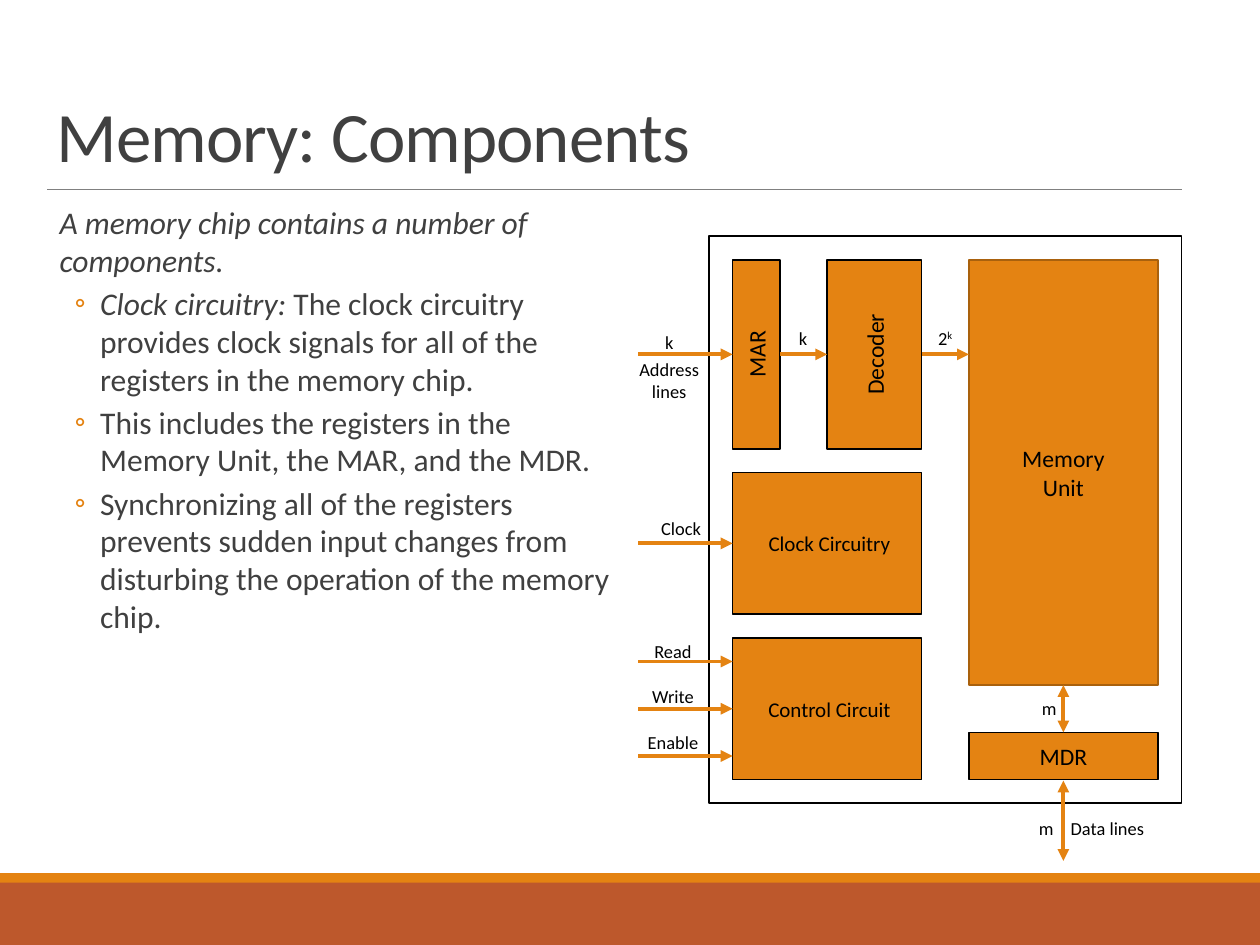
import pptx
import pptx.dml.color
import pptx.enum.shapes
import pptx.enum.text
import pptx.oxml.ns
import pptx.util
from lxml import etree

Inches = pptx.util.Inches
Pt = pptx.util.Pt
ALIGN = pptx.enum.text.PP_ALIGN
ANCHOR = pptx.enum.text.MSO_ANCHOR

COLORS = {
    "orange": "E48312", "rust": "BD582C", "bronze": "A9610D",
    "rule": "808080", "gray": "404040", "black": "000000",
}
TITLE_FONT = {"size": Pt(54), "color": "gray"}
BODY_FONT = {"size": Pt(24), "color": "gray"}
LABEL_FONT = {"size": Pt(14)}
BLOCK_FONT = {"size": Pt(18)}
CIRCUIT_FONT = {"size": Pt(16)}
CENTERED = {"alignment": ALIGN.CENTER}
LABEL_PARA = {"alignment": ALIGN.CENTER, "space_before": Pt(4)}
CIRCUIT_PARA = {"alignment": ALIGN.CENTER, "space_after": Pt(13.5)}
CIRCUIT_FRAME = {"margin_left": Inches(0.05), "margin_top": 0,
                 "margin_right": 0, "margin_bottom": 0}


def rgb(name):
    """Return the named colour."""
    return pptx.dml.color.RGBColor.from_string(COLORS[name])


def set_values(target, values):
    """Set attributes of an object from a dict."""
    for name, value in values.items():
        setattr(target, name, value)


def add_xml(parent, tag, **attributes):
    """Append a drawing element with the given attributes."""
    return etree.SubElement(parent, pptx.oxml.ns.qn("a:" + tag), attributes)


def add_span(para, text, font, **attributes):
    """Add a run of text in one font."""
    span = para.add_run()
    span.text = text
    values = {"name": "Calibri", **font}
    span.font.color.rgb = rgb(values.pop("color", "black"))
    set_values(span.font, values)
    for name, value in attributes.items():
        span.font._element.set(name, value)
    return span


def add_para(frame, values):
    """Return the next paragraph, using the empty first one if possible."""
    first = frame.paragraphs[0]
    para = frame.add_paragraph() if first.runs else first
    set_values(para, values)
    return para


def add_shape(page, place, fill=None, line=None):
    """Add a plain rectangle."""
    kind = pptx.enum.shapes.MSO_SHAPE.RECTANGLE
    shape = page.shapes.add_shape(kind, *map(Inches, place))
    shape.shadow.inherit = False
    if fill:
        shape.fill.solid()
        shape.fill.fore_color.rgb = rgb(fill)
    else:
        shape.fill.background()
    if line:
        shape.line.color.rgb = rgb(line)
        shape.line.width = Pt(1.25)
    else:
        shape.line.fill.background()
    return shape


def add_block(page, place, lines, font=BLOCK_FONT, para_values=CENTERED,
              frame_values=None, line="black", upright=False):
    """Add an orange block of the chip with its name."""
    frame = add_shape(page, place, "orange", line).text_frame
    set_values(frame, {"word_wrap": True, "vertical_anchor": ANCHOR.MIDDLE,
                       **(frame_values or {})})
    if upright:
        frame._txBody.bodyPr.set("vert", "vert270")
    for text in lines:
        add_span(add_para(frame, para_values), text, font)


def add_text_box(page, place, frame_values):
    """Add a text box and return its frame."""
    frame = page.shapes.add_textbox(*map(Inches, place)).text_frame
    set_values(frame, frame_values)
    return frame


def add_label(page, place, lines, para_values=LABEL_PARA):
    """Add a small unwrapped label and return its frame."""
    frame = add_text_box(page, place, {
        "word_wrap": False,
        "auto_size": pptx.enum.text.MSO_AUTO_SIZE.SHAPE_TO_FIT_TEXT})
    for text in lines:
        add_span(add_para(frame, para_values), text, LABEL_FONT)
    return frame


def add_line(page, start, end, color="orange", width=3, heads=("tailEnd",)):
    """Add a straight line with the given arrowheads."""
    kind = pptx.enum.shapes.MSO_CONNECTOR.STRAIGHT
    line = page.shapes.add_connector(kind, *map(Inches, (*start, *end)))
    line.line.color.rgb = rgb(color)
    line.line.width = Pt(width)
    outline = line.line._get_or_add_ln()
    for head in heads:
        add_xml(outline, head, type="triangle")
    add_xml(line._element.spPr, "effectLst")


def add_bullet(para):
    """Give a paragraph a hanging ring bullet."""
    properties = para._p.get_or_add_pPr()
    properties.set("marL", str(Inches(0.56)))
    properties.set("indent", str(Inches(-0.27)))
    add_xml(add_xml(properties, "buClr"), "srgbClr", val=COLORS["orange"])
    add_xml(properties, "buFont", typeface="Calibri")
    add_xml(properties, "buChar", char="◦")


def draw_frame(page):
    """Draw the footer bands, the title and its rule."""
    add_shape(page, (0, 9.33, 13.33, 0.67), "rust")
    add_shape(page, (0, 9.24, 13.33, 0.1), "orange")
    add_line(page, (0.5, 2), (12.5, 2), "rule", 0.5, ())
    frame = add_text_box(page, (0.5, 0.42, 12, 1.5), {
        "word_wrap": True, "vertical_anchor": ANCHOR.BOTTOM})
    para = add_para(frame, {"line_spacing": 0.85})
    add_span(para, "Memory: Components", TITLE_FONT, spc="-70")


def draw_body(page):
    """Write the introduction and its bullets."""
    frame = add_text_box(page, (0.5, 2.1, 5.95, 6.5), {
        "word_wrap": True, "margin_left": 0, "margin_right": 0})
    italic = {**BODY_FONT, "italic": True}
    intro = add_para(frame, {"space_before": Pt(12), "space_after": Pt(2)})
    intro._p.get_or_add_pPr().set("marL", str(Inches(0.13)))
    add_span(intro, "A memory chip contains a number of components.", italic)
    bullets = [
        ("Clock circuitry:", " The clock circuitry provides clock signals "
         "for all of the registers in the memory chip."),
        ("", "This includes the registers in the Memory Unit, the MAR, "
         "and the MDR."),
        ("", "Synchronizing all of the registers prevents sudden input "
         "changes from disturbing the operation of the memory chip."),
    ]
    for term, text in bullets:
        para = add_para(frame, {"level": 1, "space_before": Pt(2),
                                "space_after": Pt(2)})
        add_bullet(para)
        if term:
            add_span(para, term, italic)
        add_span(para, text, BODY_FONT)


def draw_blocks(page):
    """Draw the chip outline and the blocks inside it."""
    add_shape(page, (7.5, 2.5, 5, 6), line="black")
    add_block(page, (7.75, 2.75, 0.5, 2), ["MAR"], upright=True)
    add_block(page, (8.75, 2.75, 1, 2), ["Decoder"], upright=True)
    add_block(page, (10.25, 2.75, 2, 4.5), ["Memory", "Unit"], line="bronze")
    add_block(page, (10.25, 7.75, 2, 0.5), ["MDR"])
    for top, name in ((5, "Clock Circuitry"), (6.75, "Control Circuit")):
        add_block(page, (7.75, top, 2, 1.5), [name], CIRCUIT_FONT,
                  CIRCUIT_PARA, CIRCUIT_FRAME)


def draw_signals(page):
    """Draw the signal arrows and their labels."""
    for y in (3.75, 5.75, 7, 7.5, 8):
        add_line(page, (6.75, y), (7.75, y))
    for left in (8.25, 9.75):
        add_line(page, (left, 3.75), (left + 0.5, 3.75))
    for top, bottom in ((7.25, 7.75), (8.26, 9.11)):
        add_line(page, (11.25, top), (11.25, bottom),
                 heads=("headEnd", "tailEnd"))

    address = add_label(page, (6.66, 3.45, 0.84, 0.86),
                        ["k", "Address", "lines"])
    address.paragraphs[-1].space_before = Pt(0)
    add_label(page, (6.75, 6.72, 0.74, 1.31), ["Read", "Write", "Enable"],
              {"alignment": ALIGN.CENTER, "space_after": Pt(18)})
    add_label(page, (6.89, 5.42, 0.63, 0.34), ["Clock"])
    add_label(page, (8.35, 3.41, 0.29, 0.34), ["k"])
    power = add_label(page, (9.82, 3.41, 0.36, 0.34), ["2"])
    add_span(power.paragraphs[0], "k", LABEL_FONT, baseline="30000")
    add_label(page, (10.92, 7.33, 0.36, 0.34), ["m"])
    add_label(page, (10.89, 8.6, 0.36, 0.34), ["m"])
    add_label(page, (11.22, 8.6, 0.99, 0.34), ["Data lines"])


def main():
    """Build the slide and save it."""
    deck = pptx.Presentation()
    deck.slide_width, deck.slide_height = Inches(13.33), Inches(10)
    page = deck.slides.add_slide(deck.slide_layouts[6])
    for draw in (draw_frame, draw_body, draw_blocks, draw_signals):
        draw(page)
    deck.save("out.pptx")


main()
